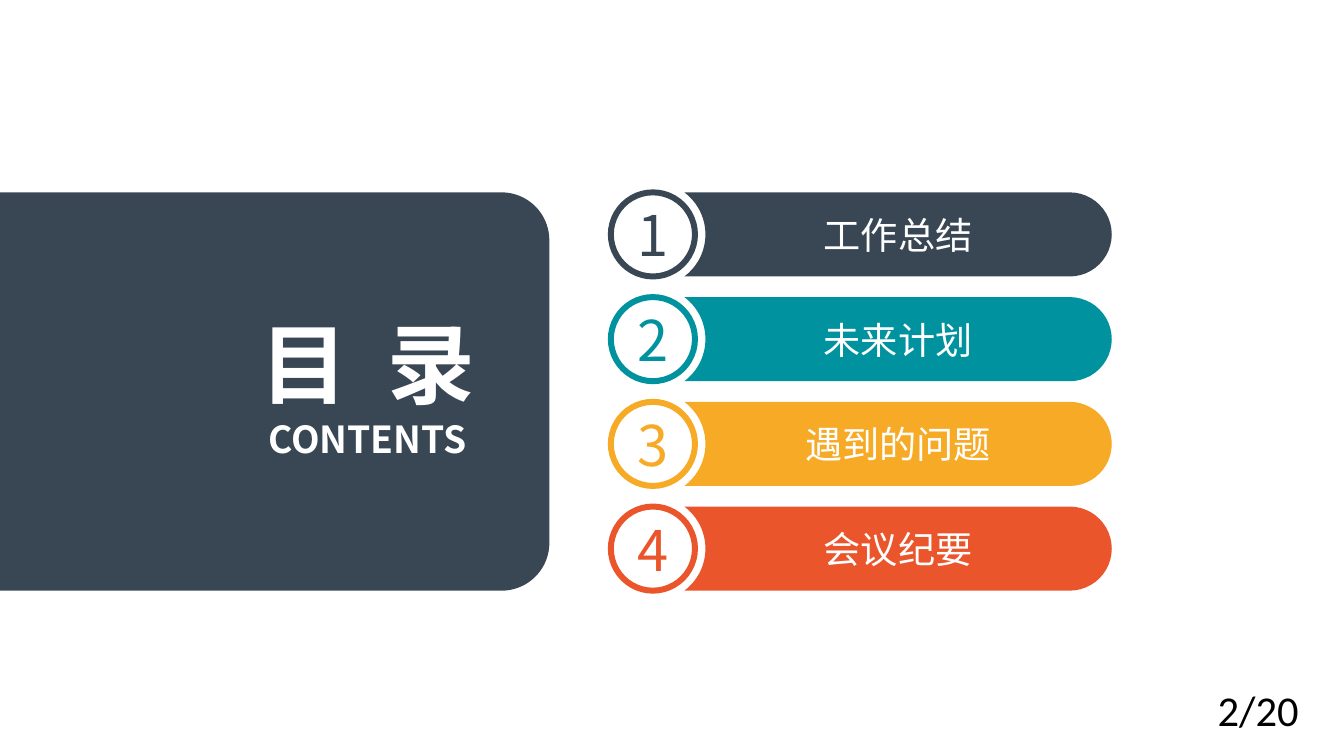
"""Build the contents slide: a title panel beside four numbered agenda bars."""
from dataclasses import dataclass

from lxml import etree
from pptx import Presentation
from pptx.dml.color import RGBColor
from pptx.enum.shapes import MSO_SHAPE
from pptx.enum.text import MSO_ANCHOR, PP_ALIGN
from pptx.oxml.ns import qn
from pptx.shapes.autoshape import Shape
from pptx.shapes.shapetree import SlideShapes
from pptx.util import Pt

OVAL = MSO_SHAPE.OVAL
TOP, MIDDLE = MSO_ANCHOR.TOP, MSO_ANCHOR.MIDDLE
LEFT, CENTER = PP_ALIGN.LEFT, PP_ALIGN.CENTER

COLORS = {
    "slate": "394754",
    "teal": "00939F",
    "amber": "F6AA26",
    "orange": "EA552B",
    "white": "FFFFFF",
    "black": "000000",
}
CJK_FONT, PAGE_FONT = "Noto Sans CJK SC", "Calibri"

SLIDE_WIDTH, SLIDE_HEIGHT = 1012.32, 569.52
AGENDA_TOP, BAR_PITCH, BAR_HEIGHT = 144.9, 78.9, 63.36
BAR_LEFT, BAR_RIGHT = 515.5, 837.4
DISC_LEFT = 460.08
NOTCH_RADIUS = BAR_HEIGHT * 0.625
NOTCH_ANGLE = 53.13
PANEL_RIGHT, PANEL_CORNER = 413.8, 36


@dataclass(frozen=True)
class Corner:
    """A point on an outline, reached by an arc when it has a radius."""
    x: float
    y: float
    radius: float = 0
    start: float = 0
    sweep: float = 90


@dataclass(frozen=True)
class AgendaItem:
    title: str
    color: str


@dataclass(frozen=True)
class TextStyle:
    size: float
    color: str
    font: str = CJK_FONT
    bold: bool = False
    align: PP_ALIGN = CENTER
    anchor: MSO_ANCHOR = MIDDLE
    margin: tuple[float, float] = (0, 0)
    tracking: float = 0


@dataclass(frozen=True)
class Label:
    text: str
    left: float
    top: float
    width: float
    height: float
    style: TextStyle


AGENDA = [
    AgendaItem("工作总结", "slate"),
    AgendaItem("未来计划", "teal"),
    AgendaItem("遇到的问题", "amber"),
    AgendaItem("会议纪要", "orange"),
]
LABELS = [
    Label("目 录", 163.8, 233.28, 226, 79.92,
          TextStyle(66, "white", bold=True, tracking=7.3)),
    Label("CONTENTS", 164.88, 313.6, 223.92, 33.84,
          TextStyle(28, "white", bold=True, anchor=TOP)),
    Label("2/20", 910.08, 511.5, 102.24, 43.92,
          TextStyle(32, "black", PAGE_FONT, align=LEFT, anchor=TOP, margin=(7.2, 3.6))),
]


def rgb(color: str) -> RGBColor:
    return RGBColor.from_string(COLORS[color])


def write(shape: Shape, text: str, style: TextStyle) -> None:
    frame = shape.text_frame
    frame.word_wrap = True
    frame.vertical_anchor = style.anchor
    frame.margin_left = frame.margin_right = Pt(style.margin[0])
    frame.margin_top = frame.margin_bottom = Pt(style.margin[1])
    frame.text = text
    paragraph = frame.paragraphs[0]
    paragraph.alignment = style.align
    run = paragraph.runs[0]
    run.font.size = Pt(style.size)
    run.font.bold = style.bold
    run.font.color.rgb = rgb(style.color)
    run.font.name = style.font
    properties = run._r.get_or_add_rPr()
    etree.SubElement(properties, qn("a:ea")).set("typeface", style.font)
    if style.tracking:
        properties.set("spc", str(round(style.tracking * 100)))


def add_outline(shapes: SlideShapes, corners: list[Corner], color: str) -> Shape:
    first, *others = corners
    builder = shapes.build_freeform(Pt(first.x), Pt(first.y))
    builder.add_line_segments([(Pt(c.x), Pt(c.y)) for c in others], close=True)
    outline = builder.convert_to_shape()
    for segment, corner in zip(list(outline._element.iter(qn("a:lnTo"))), others):
        if corner.radius:
            arc = etree.Element(qn("a:arcTo"))
            arc.set("wR", str(Pt(corner.radius)))
            arc.set("hR", str(Pt(corner.radius)))
            arc.set("stAng", str(round(corner.start % 360 * 60000)))
            arc.set("swAng", str(round(corner.sweep * 60000)))
            segment.getparent().replace(segment, arc)
    outline.shadow.inherit = False
    outline.fill.solid()
    outline.fill.fore_color.rgb = rgb(color)
    outline.line.fill.background()
    return outline


def add_panel(shapes: SlideShapes) -> None:
    bottom = AGENDA_TOP + (len(AGENDA) - 1) * BAR_PITCH + BAR_HEIGHT
    corner_x = PANEL_RIGHT - PANEL_CORNER
    add_outline(shapes, [
        Corner(0, AGENDA_TOP),
        Corner(corner_x, AGENDA_TOP),
        Corner(PANEL_RIGHT, AGENDA_TOP + PANEL_CORNER, PANEL_CORNER, -90),
        Corner(PANEL_RIGHT, bottom - PANEL_CORNER),
        Corner(corner_x, bottom, PANEL_CORNER, 0),
        Corner(0, bottom),
    ], "slate")


def add_agenda_item(shapes: SlideShapes, number: int, item: AgendaItem) -> None:
    top = AGENDA_TOP + (number - 1) * BAR_PITCH
    radius = BAR_HEIGHT / 2
    bottom = top + BAR_HEIGHT
    bar = add_outline(shapes, [
        Corner(BAR_LEFT, top),
        Corner(BAR_RIGHT - radius, top),
        Corner(BAR_RIGHT, top + radius, radius, -90),
        Corner(BAR_RIGHT - radius, bottom, radius, 0),
        Corner(BAR_LEFT, bottom),
        Corner(BAR_LEFT, top, NOTCH_RADIUS, NOTCH_ANGLE, -2 * NOTCH_ANGLE),
    ], item.color)
    write(bar, item.title, TextStyle(28, "white"))

    disc = shapes.add_shape(OVAL, Pt(DISC_LEFT), Pt(top), Pt(BAR_HEIGHT), Pt(BAR_HEIGHT))
    disc.shadow.inherit = False
    disc.fill.solid()
    disc.fill.fore_color.rgb = rgb("white")
    disc.line.color.rgb = rgb(item.color)
    disc.line.width = Pt(4.5)
    write(disc, str(number), TextStyle(42.2, item.color))


def add_label(shapes: SlideShapes, label: Label) -> None:
    box = shapes.add_textbox(
        Pt(label.left), Pt(label.top), Pt(label.width), Pt(label.height))
    write(box, label.text, label.style)


def main() -> None:
    deck = Presentation()
    deck.slide_width, deck.slide_height = Pt(SLIDE_WIDTH), Pt(SLIDE_HEIGHT)
    shapes = deck.slides.add_slide(deck.slide_layouts[6]).shapes
    add_panel(shapes)
    for number, item in enumerate(AGENDA, start=1):
        add_agenda_item(shapes, number, item)
    for label in LABELS:
        add_label(shapes, label)
    deck.save("out.pptx")


if __name__ == "__main__":
    main()
